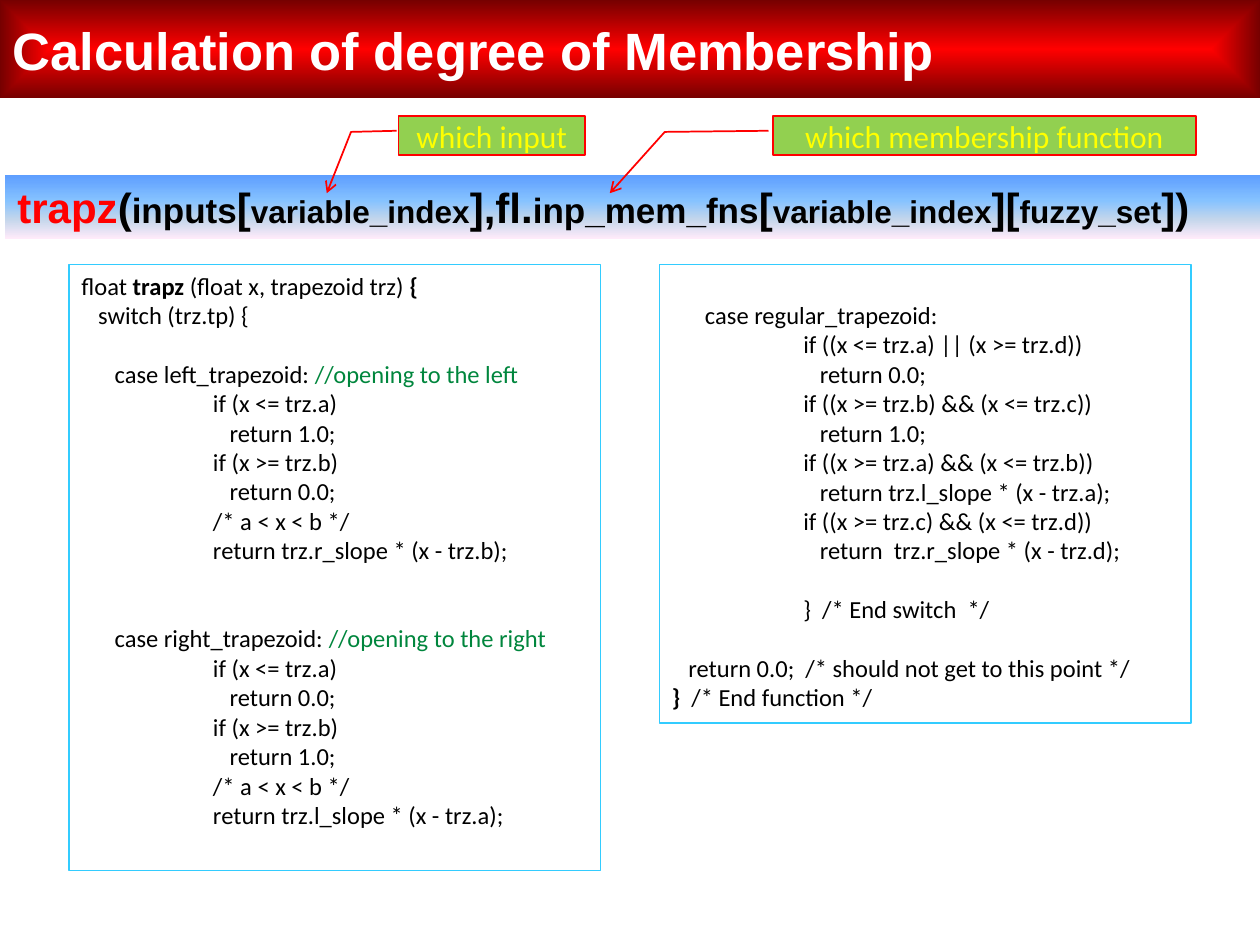
from lxml.etree import SubElement
from pptx import Presentation
from pptx.dml.color import RGBColor
from pptx.enum.shapes import MSO_SHAPE
from pptx.enum.text import MSO_ANCHOR, MSO_AUTO_SIZE, PP_ALIGN
from pptx.oxml.ns import qn
from pptx.util import Inches, Pt

COLORS = {
    "white": "FFFFFF", "black": "000000", "red": "FF0000", "dark red": "760000",
    "yellow": "FFFF00", "green": "92D050", "comment": "00863D", "frame": "33CCFF",
}
CODE_LINE = 16.8  # height of one code line in points

presentation = Presentation()
presentation.slide_width = Inches(10)
presentation.slide_height = Inches(7.5)
slide = presentation.slides.add_slide(presentation.slide_layouts[5])


def area(left, top, width, height):
    """Turn percentages of the slide into left, top, width and height."""
    column = presentation.slide_width / 100
    row = presentation.slide_height / 100
    return int(left * column), int(top * row), int(width * column), int(height * row)


def add_run(paragraph, text, size, font_name, color, bold=False):
    run = paragraph.add_run()
    run.text = text
    run.font.size = Pt(size)
    run.font.name = font_name
    run.font.bold = bold
    run.font.color.rgb = RGBColor.from_string(COLORS[color])


# Title band
title = slide.shapes.title
title.left, title.top, title.width, title.height = area(0, 0, 100, 10.4)
title.text_frame.auto_size = MSO_AUTO_SIZE.NONE
title.text_frame.vertical_anchor = MSO_ANCHOR.MIDDLE
title_paragraph = title.text_frame.paragraphs[0]
title_paragraph.alignment = PP_ALIGN.LEFT
add_run(title_paragraph, "Calculation of degree of Membership", 30, "Arial", "white", True)

# Function call band
call = slide.shapes.add_shape(MSO_SHAPE.RECTANGLE, *area(0.4, 18.53, 100, 6.73))
call.shadow.inherit = False
call.line.fill.background()
call.text_frame.word_wrap = True
call.text_frame.vertical_anchor = MSO_ANCHOR.TOP
call_paragraph = call.text_frame.paragraphs[0]
call_paragraph.alignment = PP_ALIGN.LEFT
for text, size, color in [
    ("trapz", 24, "red"), ("(", 24, "black"), ("inputs", 20, "black"),
    ("[", 24, "black"), ("variable_index", 18, "black"), ("],fl.", 24, "black"),
    ("inp_mem_fns", 20, "black"), ("[", 24, "black"),
    ("variable_index", 18, "black"), ("][", 24, "black"),
    ("fuzzy_set", 18, "black"), ("])", 24, "black"),
]:
    add_run(call_paragraph, text, size, "Arial", color, True)

# Gradients of the two bands
title_stops = [(0, COLORS["red"]), (100, COLORS["dark red"])]
call_stops = [(0, "5E9EFF"), (40, "85C2FF"), (70, "C4D6EB"), (100, "FFEBFA")]
for shape, stops in [(title, title_stops), (call, call_stops)]:
    shape.fill.gradient()
    gradient = shape._element.spPr.find(qn("a:gradFill"))
    gradient.clear()
    stop_list = SubElement(gradient, qn("a:gsLst"))
    for position, color in stops:
        stop = SubElement(stop_list, qn("a:gs"), pos=str(position * 1000))
        SubElement(stop, qn("a:srgbClr"), val=color)
    if shape is call:
        SubElement(gradient, qn("a:lin"), ang="5400000", scaled="0")
    else:
        path = SubElement(gradient, qn("a:path"), path="shape")
        SubElement(path, qn("a:fillToRect"), l="50000", t="50000", r="50000", b="50000")

# Callouts with arrows to the arguments
for text, left, width in [("which input", 31.63, 14.8), ("which membership function", 61.33, 33.6)]:
    callout = slide.shapes.add_shape(MSO_SHAPE.LINE_CALLOUT_2, *area(left, 12.27, width, 4.13))
    for index, value in enumerate([0.38, -0.01, 0.41, -0.255, 1.98, -0.385]):
        callout.adjustments[index] = value
    callout.shadow.inherit = False
    callout.fill.solid()
    callout.fill.fore_color.rgb = RGBColor.from_string(COLORS["green"])
    callout.line.color.rgb = RGBColor.from_string(COLORS["red"])
    callout.line.width = Pt(1)
    SubElement(callout.line._get_or_add_ln(), qn("a:tailEnd"), type="arrow")
    callout.text_frame.word_wrap = True
    callout.text_frame.vertical_anchor = MSO_ANCHOR.MIDDLE
    callout_paragraph = callout.text_frame.paragraphs[0]
    callout_paragraph.alignment = PP_ALIGN.CENTER
    add_run(callout_paragraph, text, 18, "Calibri", "yellow")

# Code listings: an empty line becomes space before the next line
left_code = """float **trapz** (float x, trapezoid trz) **{**
   switch (trz.tp) {

      case left_trapezoid: //opening to the left
         \t if (x <= trz.a)
         \t    return 1.0;
         \t if (x >= trz.b)
         \t    return 0.0;
         \t /* a < x < b */
         \t return trz.r_slope * (x - trz.b);


      case right_trapezoid: //opening to the right
         \t if (x <= trz.a)
         \t    return 0.0;
         \t if (x >= trz.b)
         \t    return 1.0;
         \t /* a < x < b */
         \t return trz.l_slope * (x - trz.a);"""
right_code = """      case regular_trapezoid:
         \t if ((x <= trz.a) || (x >= trz.d))
         \t    return 0.0;
         \t if ((x >= trz.b) && (x <= trz.c))
         \t    return 1.0;
         \t if ((x >= trz.a) && (x <= trz.b))
         \t    return trz.l_slope * (x - trz.a);
         \t if ((x >= trz.c) && (x <= trz.d))
         \t    return  trz.r_slope * (x - trz.d);

\t }  /* End switch  */

   return 0.0;  /* should not get to this point */
**}**  /* End function */"""
for code, left, height, lines_above in [(left_code, 5.48, 64.13, 0), (right_code, 52.33, 48.53, 1)]:
    listing = slide.shapes.add_textbox(*area(left, 27.97, 42.2, height))
    listing.line.color.rgb = RGBColor.from_string(COLORS["frame"])
    listing.line.width = Pt(0.75)
    frame = listing.text_frame
    frame.word_wrap = True
    frame.margin_top = Inches(0.05) + Pt(CODE_LINE * lines_above)
    paragraph, empty_lines = frame.paragraphs[0], 0
    for number, line in enumerate(code.split("\n")):
        if not line:
            empty_lines += 1
            continue
        if number:
            paragraph = frame.add_paragraph()
        if "\t" in line:
            tab_list = SubElement(paragraph._p.get_or_add_pPr(), qn("a:tabLst"))
            SubElement(tab_list, qn("a:tab"), pos=str(Inches(1)), algn="l")
        if empty_lines:
            paragraph.space_before = Pt(CODE_LINE * empty_lines)
            empty_lines = 0
        statement, slashes, comment = line.partition("//")
        for part, text in enumerate(statement.split("**")):
            if text:
                add_run(paragraph, text, 14, "Calibri", "black", part % 2 == 1)
        if slashes:
            add_run(paragraph, slashes + comment, 14, "Calibri", "comment")

presentation.save("out.pptx")
